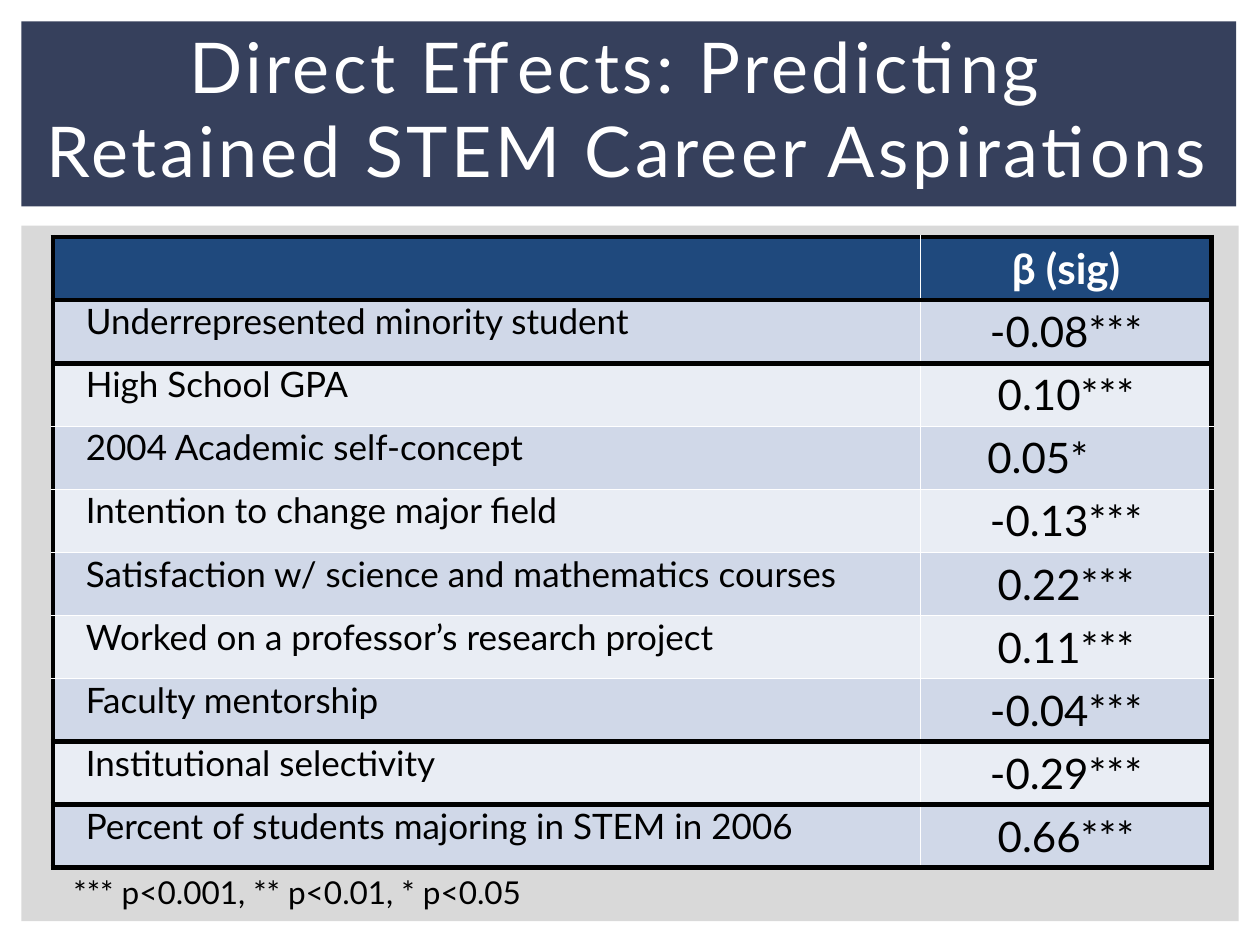
from lxml import etree
from pptx import Presentation
from pptx.dml.color import RGBColor
from pptx.enum.shapes import MSO_SHAPE
from pptx.enum.text import MSO_ANCHOR, PP_ALIGN
from pptx.oxml.ns import qn
from pptx.util import Cm, Pt

RECTANGLE = MSO_SHAPE.RECTANGLE
LEFT, CENTER = PP_ALIGN.LEFT, PP_ALIGN.CENTER
TOP, MIDDLE = MSO_ANCHOR.TOP, MSO_ANCHOR.MIDDLE

WHITE = RGBColor(0xFF, 0xFF, 0xFF)
BLACK = RGBColor(0x00, 0x00, 0x00)
GREY = RGBColor(0xD9, 0xD9, 0xD9)
NAVY = RGBColor(0x36, 0x40, 0x5C)
HEADER_BLUE = RGBColor(0x1F, 0x49, 0x7D)
BANDS = (RGBColor(0xD0, 0xD8, 0xE8), RGBColor(0xE9, 0xED, 0xF4))

EFFECTS = [
    ("Underrepresented minority student", "-0.08***"),
    ("High School GPA", "0.10***"),
    ("2004 Academic self-concept", "0.05*"),
    ("Intention to change major field", "-0.13***"),
    ("Satisfaction w/ science and mathematics courses", "0.22***"),
    ("Worked on a professor’s research project", "0.11***"),
    ("Faculty mentorship", "-0.04***"),
    ("Institutional selectivity", "-0.29***"),
    ("Percent of students majoring in STEM in 2006", "0.66***"),
]
# Horizontal table edges drawn thick, counted from the top
THICK_EDGES = {0, 1, 2, 8, 9, 10}


class SlideBuilder:
    def __init__(self, deck, font_name):
        self.page = deck.slides.add_slide(deck.slide_layouts[6])
        self.font_name = font_name

    def panel(self, left, top, width, height, color):
        shape = self.page.shapes.add_shape(
            RECTANGLE, Cm(left), Cm(top), Cm(width), Cm(height))
        shape.shadow.inherit = False
        shape.fill.solid()
        shape.fill.fore_color.rgb = color
        shape.line.fill.background()

    def span(self, para, text, size, color, bold=False, spacing=0):
        span = para.add_run()
        span.text = text
        span.font.name = self.font_name
        span.font.size = Pt(size)
        span.font.bold = bold
        span.font.color.rgb = color
        if spacing:
            span.font._element.set("spc", str(spacing * 100))

    def text(self, left, top, width, height, lines, size, color,
             align=LEFT, anchor=TOP, spacing=0):
        box = self.page.shapes.add_textbox(
            Cm(left), Cm(top), Cm(width), Cm(height))
        frame = box.text_frame
        frame.word_wrap = True
        frame.vertical_anchor = anchor
        para = frame.paragraphs[0]
        para.alignment = align
        for index, line in enumerate(lines):
            if index:
                para.add_line_break()
            self.span(para, line, size, color, spacing=spacing)

    def table(self, left, top, widths, row_height, row_count):
        frame = self.page.shapes.add_table(
            row_count, len(widths), Cm(left), Cm(top),
            Cm(sum(widths)), Cm(row_height * row_count))
        table = frame.table
        table.first_row = table.horz_banding = False
        for column, width in zip(table.columns, widths):
            column.width = Cm(width)
        for row in table.rows:
            row.height = Cm(row_height)
        return table

    def cell(self, cell, text, size, color, fill, align=LEFT, indent=0, bold=False):
        cell.fill.solid()
        cell.fill.fore_color.rgb = fill
        para = cell.text_frame.paragraphs[0]
        para.alignment = align
        if indent:
            properties = para._p.get_or_add_pPr()
            properties.set("marL", str(Cm(indent)))
            properties.set("indent", "0")
        if text:
            self.span(para, text, size, color, bold)

    def borders(self, cell, thick_sides):
        properties = cell._tc.get_or_add_tcPr()
        for index, side in enumerate("LRTB"):
            thick = side in thick_sides
            line = etree.Element(qn(f"a:ln{side}"), w=str(Pt(3 if thick else 1)))
            fill = etree.SubElement(line, qn("a:solidFill"))
            etree.SubElement(fill, qn("a:srgbClr"), val=str(BLACK if thick else WHITE))
            properties.insert(index, line)


def main():
    deck = Presentation()
    deck.slide_width, deck.slide_height = Cm(25.4), Cm(19.05)
    slide = SlideBuilder(deck, "Lato")

    # Background panels
    slide.panel(0.43, 4.55, 24.54, 14.02, GREY)
    slide.panel(0.43, 0.43, 24.49, 3.73, NAVY)

    # Table of effects
    table = slide.table(1.07, 4.78, (17.49, 5.86), 1.27, len(EFFECTS) + 1)
    slide.cell(table.cell(0, 0), "", 24, WHITE, HEADER_BLUE)
    slide.cell(table.cell(0, 1), "β (sig)", 24, WHITE, HEADER_BLUE, CENTER, bold=True)
    for row, (label, value) in enumerate(EFFECTS, start=1):
        band = BANDS[(row - 1) % 2]
        label_cell = table.cell(row, 0)
        label_cell.margin_left = label_cell.margin_right = Cm(0.18)
        label_cell.margin_top = label_cell.margin_bottom = Cm(0)
        slide.cell(label_cell, label, 20, BLACK, band, indent=0.48)
        single_star = not value.endswith("**")
        slide.cell(table.cell(row, 1), value, 24, BLACK, band,
                   LEFT if single_star else CENTER, 1.09 if single_star else 0)

    # Table borders
    for row in range(len(table.rows)):
        sides = "T" * (row in THICK_EDGES) + "B" * (row + 1 in THICK_EDGES)
        slide.borders(table.cell(row, 0), sides + "L")
        slide.borders(table.cell(row, 1), sides + "R")

    # Title and significance note
    slide.text(0.38, 0.43, 24.54, 3.48,
               ("Direct Effects: Predicting ", "Retained STEM Career Aspirations"),
               40, WHITE, CENTER, MIDDLE, spacing=2)
    slide.text(1.07, 17.48, 11.84, 1.02,
               (" *** p<0.001, ** p<0.01, * p<0.05",), 18, BLACK)

    deck.save("out.pptx")


if __name__ == "__main__":
    main()
